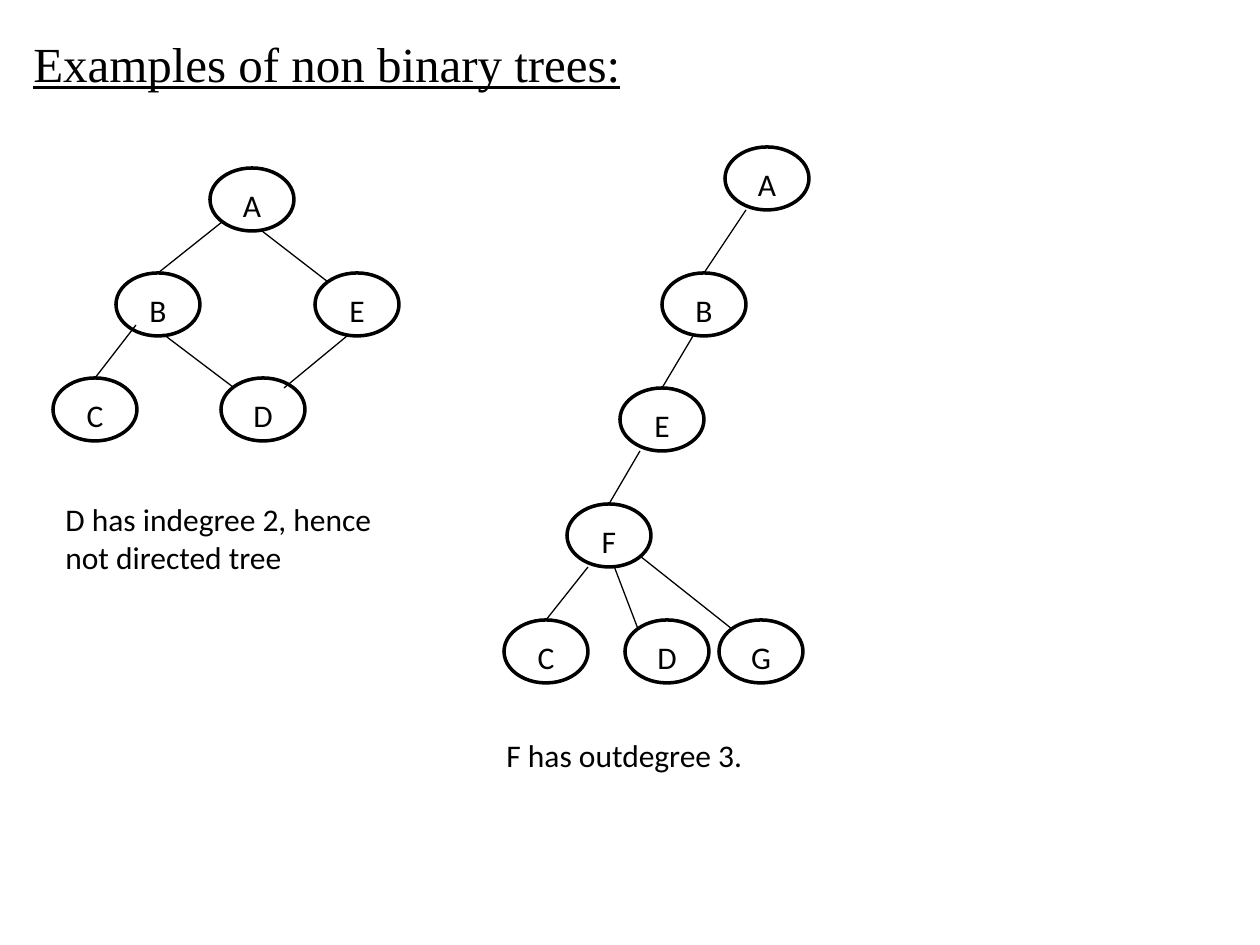
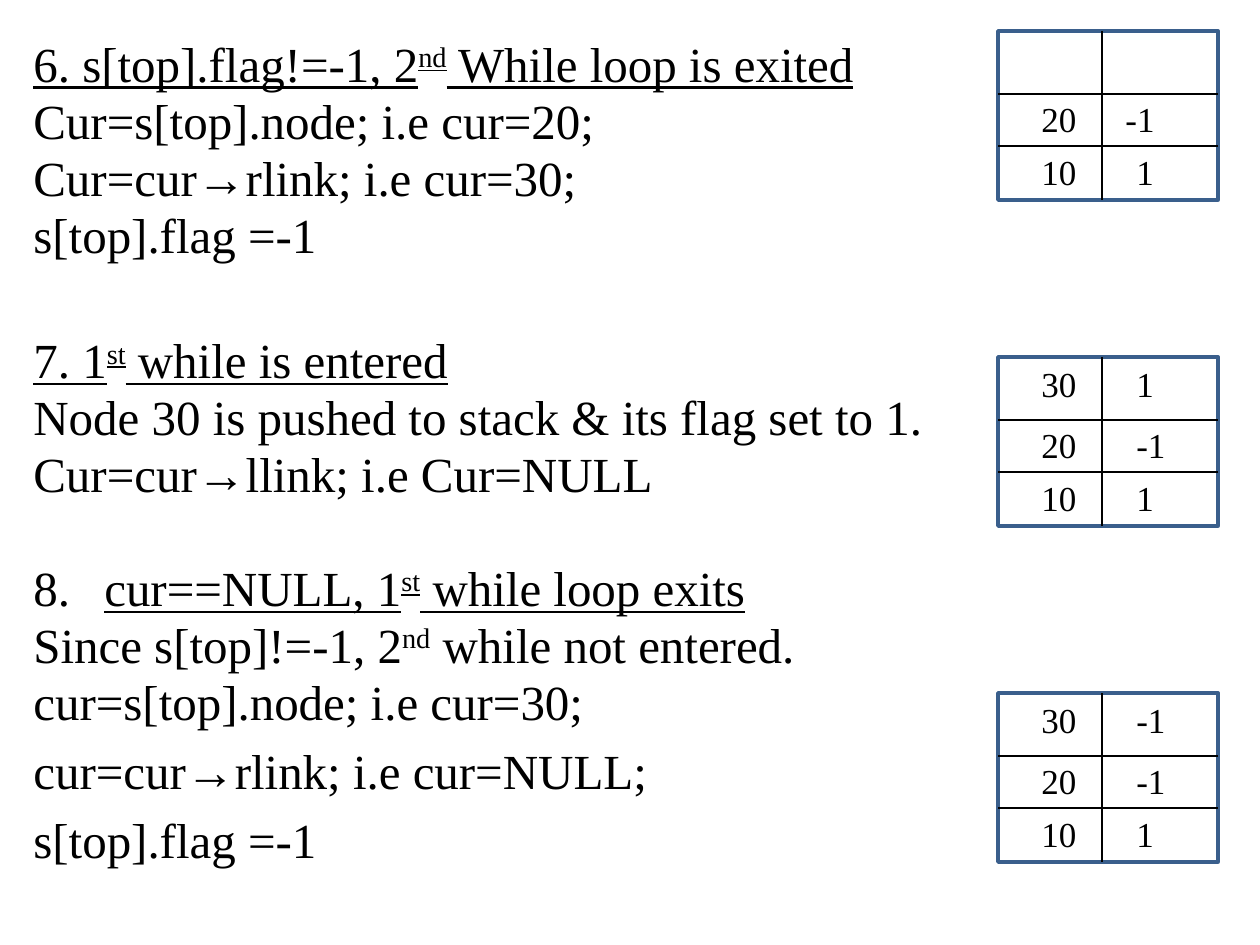
import pptx
import pptx.util
import pptx.dml.color
import pptx.enum.shapes
import pptx.enum.text
import pptx.oxml.ns
from lxml import etree

PX = 914400 / 126
SERIF = "Times New Roman"
SANS = "Calibri"
BLACK, WHITE, BLUE = "000000", "FFFFFF", "3A5F8C"


def px(length):
    return pptx.util.Emu(round(length * PX))


def color(value):
    return pptx.dml.color.RGBColor.from_string(value)


def add_text(paragraph, text, font=SANS, size=18, underline=False, fill=BLACK,
             before=0, line=None, align=None, number=None):
    if number:
        properties = paragraph._p.get_or_add_pPr()
        properties.set("marL", str(px(71)))
        properties.set("indent", str(-px(71)))
        etree.SubElement(properties, pptx.oxml.ns.qn("a:buAutoNum"),
                         type="arabicPeriod", startAt=str(number))
    paragraph.space_before = pptx.util.Pt(before)
    if line:
        paragraph.line_spacing = pptx.util.Pt(line)
    paragraph.alignment = align
    for index, part in enumerate(text.split("^")):
        run = paragraph.add_run()
        run.text = part
        run.font.name = font
        run.font.size = pptx.util.Pt(size)
        run.font.underline = underline
        run.font.color.rgb = color(fill)
        if index % 2:
            run._r.get_or_add_rPr().set("baseline", "30000")


class Deck:
    def __init__(self):
        self.deck = pptx.Presentation()
        self.deck.slide_width = px(1260)
        self.deck.slide_height = px(945)
        self.slide = None

    def new_slide(self):
        self.slide = self.deck.slides.add_slide(self.deck.slide_layouts[6])

    def text(self, x, y, width, height, lines, **style):
        box = self.slide.shapes.add_textbox(px(x), px(y), px(width), px(height))
        frame = box.text_frame
        frame.word_wrap = True
        for index, (words, extra) in enumerate(lines):
            paragraph = frame.add_paragraph() if index else frame.paragraphs[0]
            add_text(paragraph, words, **style, **extra)

    def label(self, x, y, width, height, words, **style):
        self.text(x, y, width, height, [(words, {})], **style)

    def body(self, lines):
        self.text(21, 27, 1218, 898, lines, font=SERIF, size=28)

    def shape(self, kind, x, y, width, height, outline):
        shape = self.slide.shapes.add_shape(kind, px(x), px(y), px(width), px(height))
        shape.shadow.inherit = False
        shape.fill.solid()
        shape.fill.fore_color.rgb = color(WHITE)
        shape.line.color.rgb = color(outline)
        shape.line.width = pptx.util.Pt(2)
        return shape

    def node(self, name, x, y):
        node = self.shape(pptx.enum.shapes.MSO_SHAPE.OVAL, x, y, 84, 63, BLACK)
        frame = node.text_frame
        frame.margin_left = frame.margin_right = frame.margin_bottom = 0
        frame.margin_top = px(10)
        frame.vertical_anchor = pptx.enum.text.MSO_ANCHOR.MIDDLE
        add_text(frame.paragraphs[0], name, align=pptx.enum.text.PP_ALIGN.CENTER)
        return node

    def line(self, start, end, child=None):
        line = self.slide.shapes.add_connector(
            pptx.enum.shapes.MSO_CONNECTOR.STRAIGHT, *map(px, start + end))
        line.line.color.rgb = color(BLACK)
        line.line.width = pptx.util.Pt(0.75)
        etree.SubElement(line._element.spPr, pptx.oxml.ns.qn("a:effectLst"))
        if child is not None:
            line.end_connect(child, 0)

    def tree(self, places, edges):
        nodes = {name: self.node(name, x, y) for name, (x, y) in places.items()}
        for start, end in edges:
            if end in nodes:
                self.line(start, start, nodes[end])
            else:
                self.line(start, end)

    def stack(self, top, rows, flag_x=1124):
        left, right, bottom = 998, 1218, top + 169
        self.shape(pptx.enum.shapes.MSO_SHAPE.RECTANGLE, left, top,
                   right - left, bottom - top, BLUE)
        for divider in (top + 63, top + 115):
            self.line((left, divider), (right, divider))
        self.line((1102, top), (1102, bottom))
        for offset, row in zip((113, 60, -1), rows):
            for x, value in zip((1029, 1124 if offset == 113 else flag_x), row):
                self.label(x, top + offset, 73, 55, value, font=SERIF, size=20)


def main():
    deck = Deck()

    deck.new_slide()
    deck.body([("Examples of non binary trees:", {"underline": True})])
    deck.tree(
        {"A": (210, 168), "B": (116, 273), "E": (315, 273),
         "C": (53, 378), "D": (221, 378)},
        [((222, 222), "B"), ((262, 231), (328, 282)), ((163, 334), (233, 387)),
         ((136, 325), "C"), ((347, 336), (284, 388))])
    deck.label(53, 494, 336, 89, "D has indegree 2, hence not directed tree")
    deck.tree(
        {"A": (725, 147), "B": (662, 273), "E": (620, 388), "F": (567, 504),
         "C": (504, 620), "D": (625, 620), "G": (719, 620)},
        [((746, 210), "B"), ((693, 336), "E"), ((640, 451), "F"),
         ((588, 567), "C"), ((614, 566), (638, 629)), ((640, 556), (732, 629))])
    deck.label(494, 730, 336, 50, "F has outdegree 3.")

    deck.new_slide()
    close = {"line": 27, "before": 5.57}
    loose = {"line": 27, "before": 12.4}
    deck.body([
        ("6. s[top].flag!=-1, 2^nd^ While loop is exited", {"underline": True}),
        ("Cur=s[top].node; i.e cur=20;", close),
        ("Cur=cur→rlink; i.e cur=30;", close),
        ("s[top].flag =-1", close),
        ("7. 1^st^ while is entered", {"underline": True, "line": 27, "before": 44.7}),
        ("Node 30 is pushed to stack & its flag set to 1.", close),
        ("Cur=cur→llink; i.e Cur=NULL", close),
        ("cur==NULL, 1^st^ while loop exits",
         {"underline": True, "line": 27, "before": 38.1, "number": 8}),
        ("Since s[top]!=-1, 2^nd^ while not entered.", close),
        ("cur=s[top].node; i.e cur=30;", close),
        ("cur=cur→rlink; i.e cur=NULL;", loose),
        ("s[top].flag =-1", loose),
    ])
    deck.stack(31, [("10", "1"), ("20", "-1")], flag_x=1113)
    deck.stack(357, [("10", "1"), ("20", "-1"), ("30", "1")])
    deck.stack(693, [("10", "1"), ("20", "-1"), ("30", "-1")])

    deck.deck.save("out.pptx")


if __name__ == "__main__":
    main()
